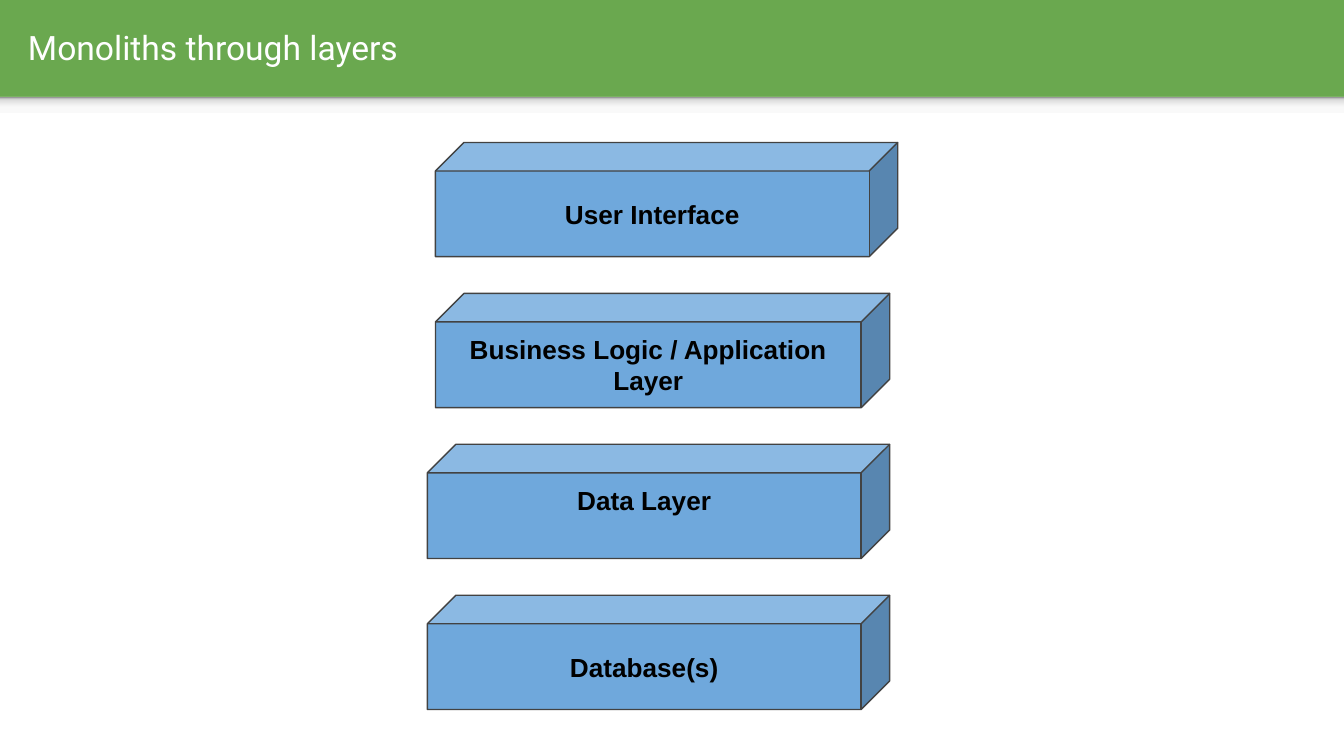
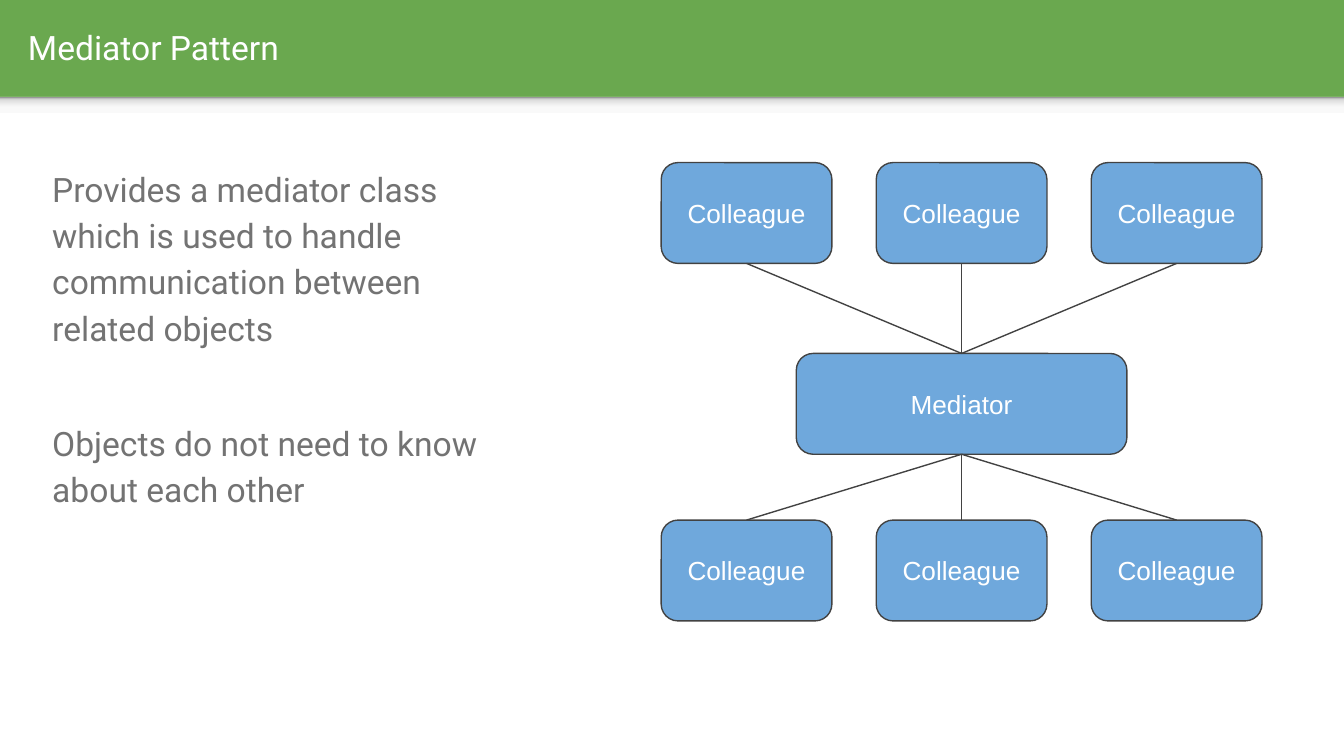
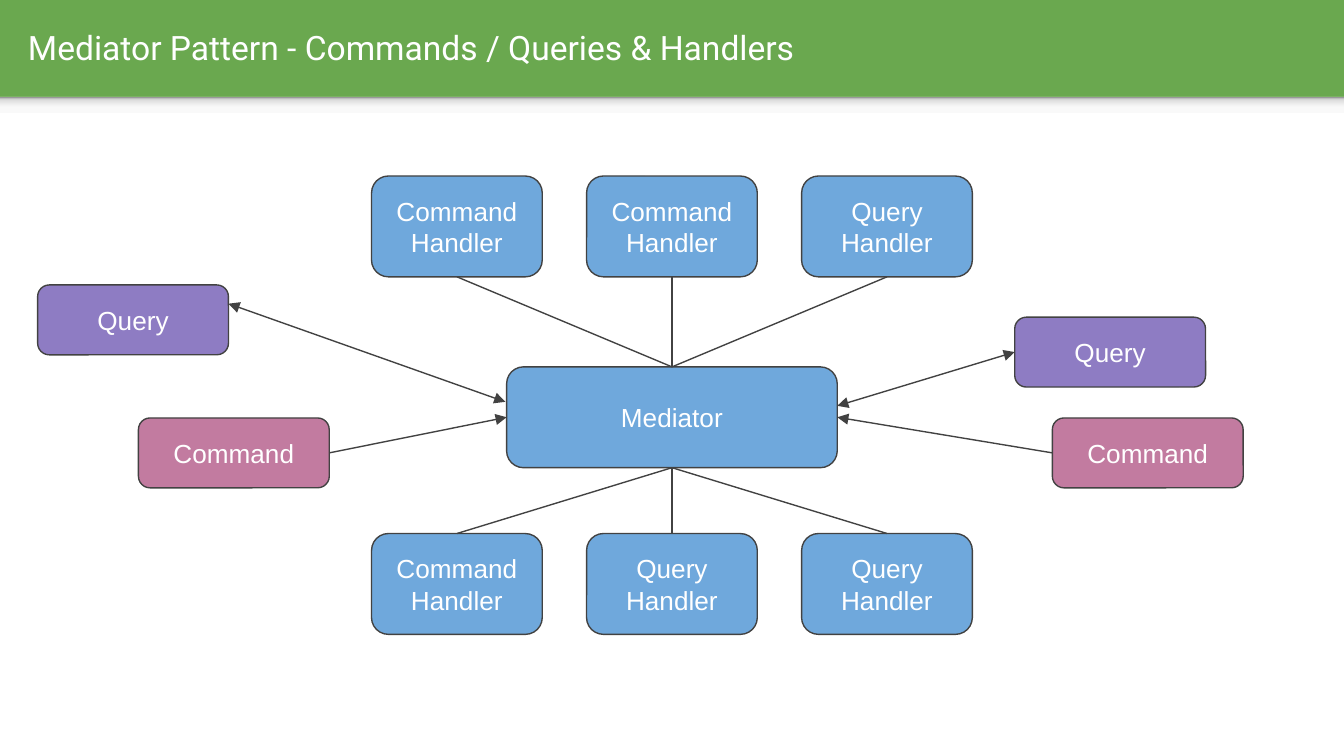
from lxml import etree
from pptx import Presentation
from pptx.dml.color import RGBColor
from pptx.enum.shapes import MSO_CONNECTOR, MSO_SHAPE
from pptx.enum.text import MSO_ANCHOR, PP_ALIGN
from pptx.oxml import parse_xml
from pptx.oxml.ns import nsdecls, qn
from pptx.util import Inches, Pt

RECT, ROUND, CUBE = MSO_SHAPE.RECTANGLE, MSO_SHAPE.ROUNDED_RECTANGLE, MSO_SHAPE.CUBE
STRAIGHT = MSO_CONNECTOR.STRAIGHT
LEFT, CENTER = PP_ALIGN.LEFT, PP_ALIGN.CENTER
TOP, MIDDLE = MSO_ANCHOR.TOP, MSO_ANCHOR.MIDDLE
UP, WEST, DOWN, EAST = range(4)

WIDE, HIGH = Inches(10), Inches(5.625)
UNIT = WIDE // 100  # the grid has 100 columns and 56.25 rows
ROWS = 56.25
HEAD = 7.2

GREEN, BLUE, PINK, VIOLET = "6AA84F", "6FA8DC", "C27BA0", "8E7CC3"
WHITE, BLACK, GREY, EDGE = "FFFFFF", "000000", "737373", "424242"
SHADE = ((0, "F9F9F9"), (36, "F9F9F9"), (80, "DEDEDE"), (100, "999999"))


def color(code):
    return RGBColor.from_string(code)


def grid(*cells):
    return [round(cell * UNIT) for cell in cells]


def write(shape, text, size=14, font="Arial", ink=WHITE, bold=False,
          align=CENTER, anchor=MIDDLE, lines=None, after=None, base=1):
    """Fill a shape with text, one paragraph a line; base is the bottom inset in cells."""
    frame = shape.text_frame
    frame.word_wrap = True
    frame.vertical_anchor = anchor
    frame.margin_left = frame.margin_right = frame.margin_top = UNIT
    frame.margin_bottom = round(base * UNIT)
    frame.text = text
    for para in frame.paragraphs:
        para.alignment = align
        para.line_spacing = lines
        para.space_after = after
        face = para.font
        face.size, face.name, face.bold = Pt(size), font, bold
        face.color.rgb = color(ink)


def label(slide, area, text, **style):
    write(slide.shapes.add_textbox(*grid(*area)), text,
          font="Roboto", size=18, align=LEFT, **style)


def block(slide, kind, area, fill, edge=None):
    shape = slide.shapes.add_shape(kind, *grid(*area))
    shape.shadow.inherit = False
    shape.fill.solid()
    shape.fill.fore_color.rgb = color(fill)
    if edge:
        shape.line.color.rgb = color(edge)
        shape.line.width = Pt(0.75)
    else:
        shape.line.fill.background()
    return shape


def box(slide, area, text, fill=BLUE, kind=ROUND, **style):
    shape = block(slide, kind, area, fill, EDGE)
    write(shape, text, **style)
    return shape


def fade(shape):
    """Give a shape the grey gradient that runs upwards."""
    stops = "".join(f'<a:gs pos="{pos * 1000}"><a:srgbClr val="{code}"/></a:gs>'
                    for pos, code in SHADE)
    props = shape.element.spPr
    solid = props.find(qn("a:solidFill"))
    props.replace(solid, parse_xml(
        f'<a:gradFill {nsdecls("a")}><a:gsLst>{stops}</a:gsLst>'
        '<a:lin ang="16200000" scaled="0"/></a:gradFill>'))


def link(slide, start, end, tips=()):
    """Join two ends, each a (shape, side) pair or an (x, y) grid point."""
    line = slide.shapes.add_connector(STRAIGHT, 0, 0, 0, 0)
    if isinstance(start[0], (int, float)):
        line.begin_x, line.begin_y = grid(*start)
    else:
        line.begin_connect(*start)
    if isinstance(end[0], (int, float)):
        line.end_x, line.end_y = grid(*end)
    else:
        line.end_connect(*end)
    line.line.color.rgb = color(EDGE)
    line.line.width = Pt(0.75)
    for tip in tips:
        etree.SubElement(line.line._get_or_add_ln(), qn(f"a:{tip}"), type="triangle")
    etree.SubElement(line._element.spPr, qn("a:effectLst"))


def page(deck, title):
    slide = deck.slides.add_slide(deck.slide_layouts[6])
    back = slide.background.fill
    back.solid()
    back.fore_color.rgb = color(GREEN)
    block(slide, RECT, (0, HEAD, 100, ROWS - HEAD), WHITE)
    fade(block(slide, RECT, (0, HEAD, 100, 1.2), WHITE))
    label(slide, (1.1, 0.2, 96.5, 6.6), title, ink=WHITE)
    return slide


def hub(slide, left, top, upper, lower):
    """Draw the mediator between two rows of boxes and return it."""
    wide, high, step, core = 12.7, 7.5, 16, 24.6
    mid = left + step + wide / 2
    center = box(slide, (mid - core / 2, top + 14.2, core, high), "Mediator")
    for names, drop, near, far in ((upper, 0, UP, DOWN), (lower, 26.6, DOWN, UP)):
        for col, name in enumerate(names):
            node = box(slide, (left + col * step, top + drop, wide, high), name)
            link(slide, (node, far), (center, near))
    return center


def layers(deck):
    slide = page(deck, "Monoliths through layers")
    stack = (("User Interface", 32.4, 34.4, 1),
             ("Business Logic / Application Layer", 32.4, 33.8, 1),
             ("Data Layer", 31.8, 34.4, 3.3),
             ("Database(s)", 31.8, 34.4, 1))
    for row, (name, left, wide, base) in enumerate(stack):
        box(slide, (left, 10.6 + row * 11.23, wide, 8.5), name,
            kind=CUBE, ink=BLACK, bold=True, base=base)


def pattern(deck):
    slide = page(deck, "Mediator Pattern")
    label(slide, (2.9, 11.1, 36.8, 29.6),
          "Provides a mediator class which is used to handle communication "
          "between related objects\nObjects do not need to know about each other",
          ink=GREY, anchor=TOP, lines=1.15, after=Pt(37))
    hub(slide, 49.2, 12.1, ["Colleague"] * 3, ["Colleague"] * 3)


def handlers(deck):
    slide = page(deck, "Mediator Pattern - Commands / Queries & Handlers")
    order, ask = "Command Handler", "Query Handler"
    center = hub(slide, 27.65, 13.1, (order, order, ask), (order, ask, ask))

    def call(left, top, name, fill):
        return box(slide, (left, top, 14.2, 5.2), name, fill)

    both, tail = ("headEnd", "tailEnd"), ("tailEnd",)
    for left, side, face in ((10.3, EAST, WEST), (78.3, WEST, EAST)):
        link(slide, (call(left, 31.1, "Command", PINK), side), (center, face), tail)
    call(2.8, 21.2, "Query", VIOLET)
    link(slide, (17, 22.6), (37.6, 29.9), both)
    query = call(75.5, 23.6, "Query", VIOLET)
    link(slide, (query, WEST), (62.3, 30.2), both)


def main():
    deck = Presentation()
    deck.slide_width, deck.slide_height = WIDE, HIGH
    layers(deck)
    pattern(deck)
    handlers(deck)
    deck.save("out.pptx")


if __name__ == "__main__":
    main()
